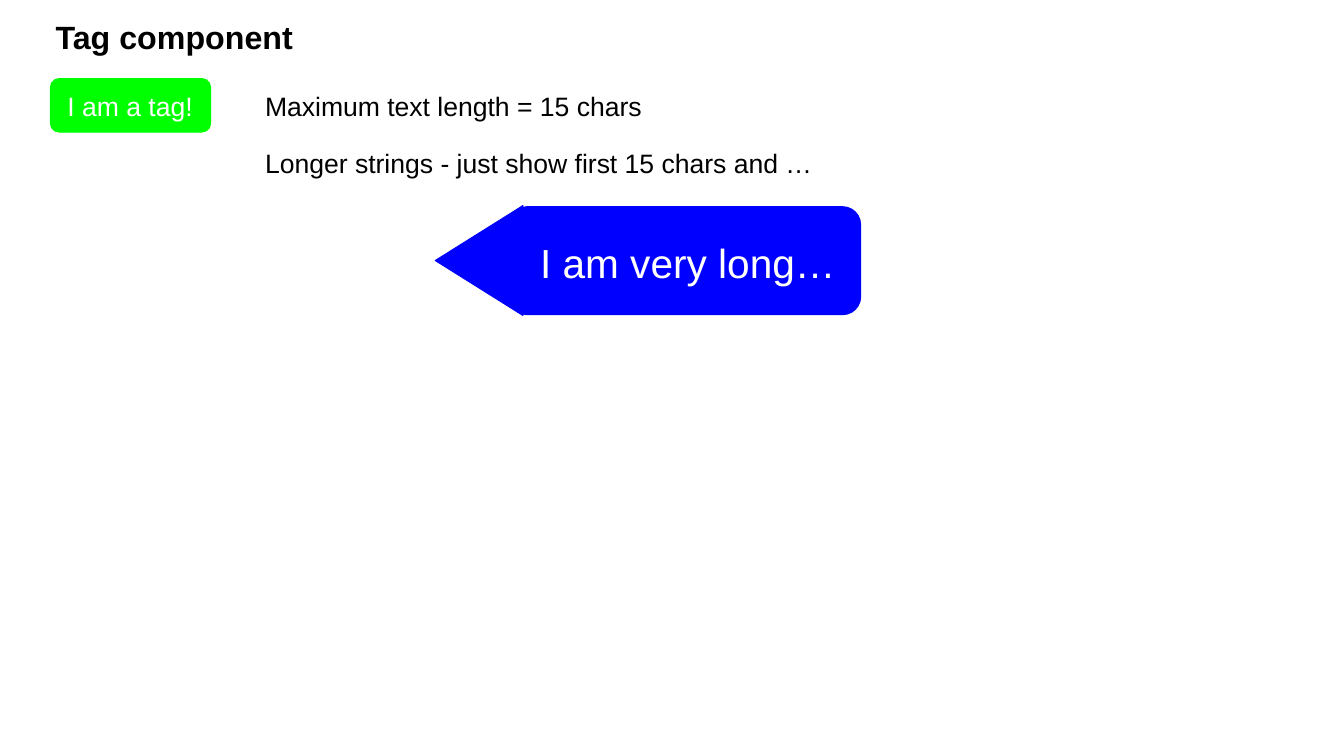
import pptx
import pptx.util
import pptx.dml.color
import pptx.enum.shapes
import pptx.enum.text
from lxml import etree

Cm, Pt = pptx.util.Cm, pptx.util.Pt
Preset = pptx.enum.shapes.MSO_SHAPE

# Content: boxes are left, top, width, height in cm
COLORS = {"text": "000000", "label": "FFFFFF", "short": "00FF00", "long": "0000FF"}
FONT = "Arial"
INSET = 0.33
HEADING = ("Tag component", (1.07, 0.1, 12.73, 1.68), 23)
RULES = (["Maximum text length = 15 chars",
          "Longer strings - just show first 15 chars and …"],
         (6.35, 1.93, 16.99, 2.9), 19)
RULE_GAP = 17.8
BODIES = [  # preset, box, rotation, color
    (Preset.ROUNDED_RECTANGLE, (1.27, 1.98, 4.04, 1.35), 0, "short"),
    (Preset.ROUNDED_RECTANGLE, (12.83, 5.21, 8.86, 2.72), 0, "long"),
    (Preset.ISOSCELES_TRIANGLE, (10.69, 5.46, 2.77, 2.21), 270, "long"),
]
LABELS = [  # text, box, size
    ("I am a tag!", (1.37, 1.93, 4.27, 1.5), 19),
    ("I am very long…", (13.28, 5.66, 8.41, 1.93), 29),
]


def color(key):
    return pptx.dml.color.RGBColor.from_string(COLORS[key])


def write(holder, lines, box, size, ink, bold=False):
    """Place a text holder and fill it with one paragraph per line."""
    holder.left, holder.top, holder.width, holder.height = map(Cm, box)
    frame = holder.text_frame
    frame.word_wrap = True
    frame.auto_size = pptx.enum.text.MSO_AUTO_SIZE.NONE
    frame.vertical_anchor = pptx.enum.text.MSO_ANCHOR.TOP
    frame.margin_left = frame.margin_right = Cm(INSET)
    frame.margin_top = frame.margin_bottom = Cm(INSET)
    for i, line in enumerate(lines):
        paragraph = frame.add_paragraph() if i else frame.paragraphs[0]
        paragraph.alignment = pptx.enum.text.PP_ALIGN.LEFT
        paragraph.space_before = Pt(RULE_GAP if i else 0)
        properties = paragraph._p.get_or_add_pPr()
        properties.set("marL", "0")
        properties.set("indent", "0")
        etree.SubElement(properties, pptx.oxml.ns.qn("a:buNone"))
        run = paragraph.add_run()
        run.text = line
        run.font.name, run.font.size, run.font.bold = FONT, Pt(size), bold
        run.font.color.rgb = color(ink)


def main():
    deck = pptx.Presentation()
    deck.slide_width, deck.slide_height = Cm(33.87), Cm(19.05)
    slide = deck.slides.add_slide(deck.slide_layouts[1])

    # Heading and length rules
    heading, box, size = HEADING
    write(slide.shapes.title, [heading], box, size, "text", bold=True)
    write(slide.placeholders[1], *RULES, "text")

    # Tag bodies and the pointer of the long tag
    for preset, box, rotation, key in BODIES:
        body = slide.shapes.add_shape(preset, *map(Cm, box))
        body.rotation = rotation
        body.shadow.inherit = False
        body.fill.solid()
        body.fill.fore_color.rgb = color(key)
        body.line.color.rgb = color(key)
        body.line.width = Pt(0.75)

    # Tag labels
    for label, box, size in LABELS:
        holder = slide.shapes.add_textbox(*map(Cm, box))
        write(holder, [label], box, size, "label")

    deck.save("out.pptx")


if __name__ == "__main__":
    main()
